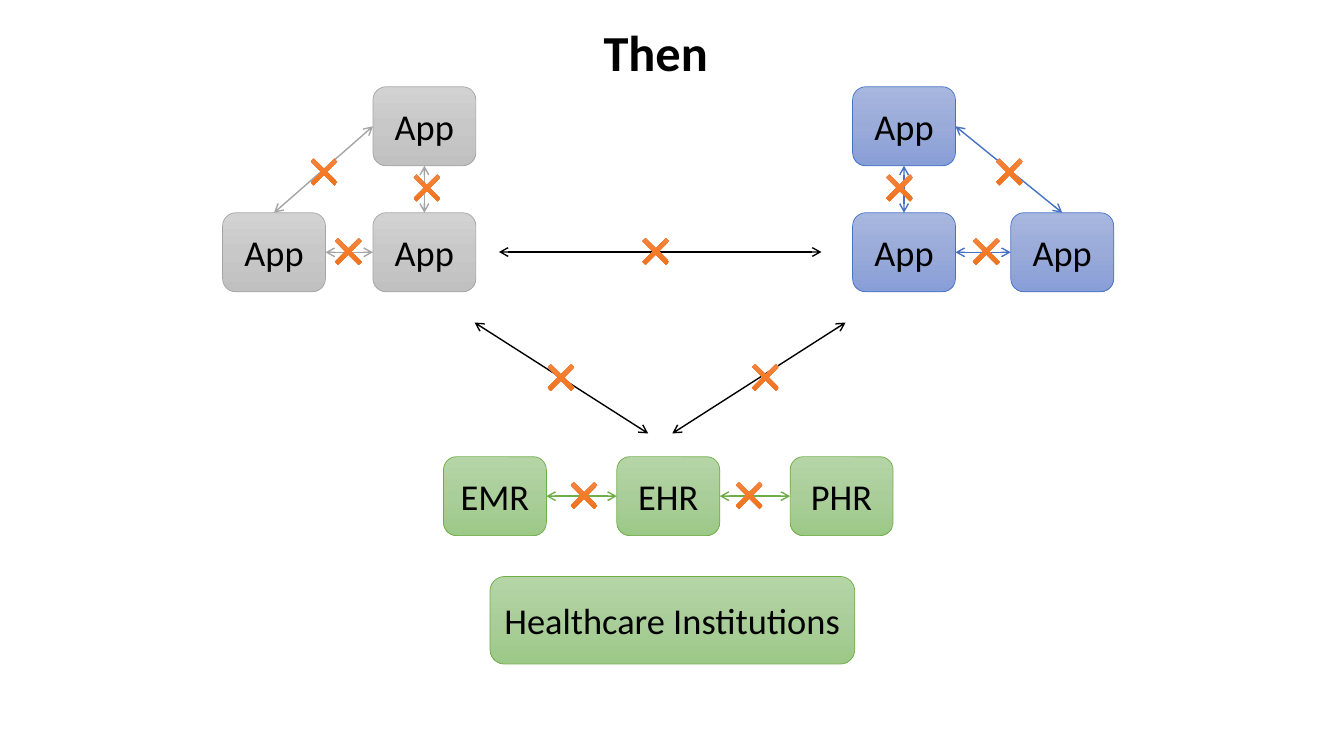
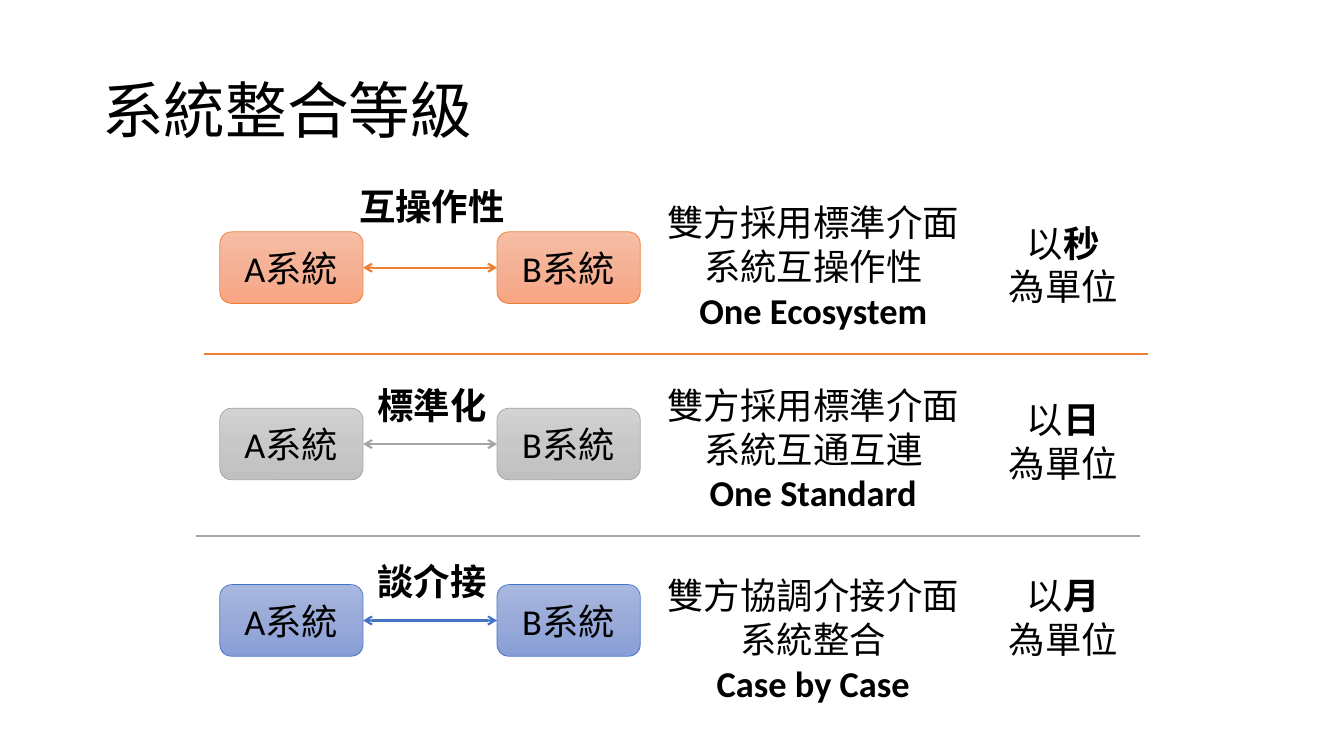
"""Build two slides on how healthcare systems connect."""
from copy import deepcopy

from lxml import etree
from pptx import Presentation
from pptx.dml.color import RGBColor
from pptx.enum.shapes import MSO_CONNECTOR, MSO_SHAPE
from pptx.enum.text import MSO_ANCHOR, PP_ALIGN
from pptx.oxml.ns import qn
from pptx.util import Pt

ROUND, TIMES = MSO_SHAPE.ROUNDED_RECTANGLE, MSO_SHAPE.MATH_MULTIPLY
STRAIGHT = MSO_CONNECTOR.STRAIGHT
LEFT, CENTER = PP_ALIGN.LEFT, PP_ALIGN.CENTER
TOP, MIDDLE = MSO_ANCHOR.TOP, MSO_ANCHOR.MIDDLE
UP, WEST, DOWN, EAST = range(4)

FONT = "Calibri"
INK = {"black": "000000", "green": "70AD47", "gray": "A5A5A5",
       "blue": "4472C4", "orange": "ED7D31"}
FADE = {
    "green": ("B5D5A7", "AACE9A", "9CC987"),
    "gray": ("D2D2D2", "C8C8C8", "C0C0C0"),
    "blue": ("A8B7DF", "9AABD9", "889ED7"),
    "orange": ("F7BDA5", "F5B196", "F8A582"),
    "cross": ("F18C57", "F67B28", "E56C19"),
}

NODE_W, NODE_H, CROSS = 73.5, 56.4, 32.4
NODES = {
    "emr": ("EMR", "green", 316.8, 326.2),
    "ehr": ("EHR", "green", 440.6, 326.2),
    "phr": ("PHR", "green", 564.4, 326.2),
    "gray out": ("App", "gray", 159, 152),
    "gray top": ("App", "gray", 266.4, 62),
    "gray low": ("App", "gray", 266.4, 152),
    "blue top": ("App", "blue", 609, 62),
    "blue low": ("App", "blue", 609, 152),
    "blue out": ("App", "blue", 722, 152),
}
LINKS = [
    ("gray top", DOWN, "gray low", UP),
    ("gray low", WEST, "gray out", EAST),
    ("gray top", WEST, "gray out", UP),
    ("blue top", DOWN, "blue low", UP),
    ("blue out", WEST, "blue low", EAST),
    ("blue top", EAST, "blue out", UP),
    ("emr", EAST, "ehr", WEST),
    ("ehr", EAST, "phr", WEST),
]
SPANS = [(356.4, 180, 586.8, 180), (339, 230.4, 463, 309.6),
         (480.2, 309.6, 604, 230.4)]
CROSSES = [
    (288.7, 118), (215.3, 106.6), (232.6, 163.4),
    (626.4, 118), (704.9, 106.6), (688.3, 163.4),
    (401, 337.7), (519, 337.7),
    (452.2, 163.4), (384.5, 253.4), (530.6, 253.4),
]

ROW_TOP, ROW_STEP = 165.6, 126
SYS_W, SYS_H = 102.4, 51.2
SYSTEMS = [("A系統", 157), ("B系統", 355)]
LEVELS = [
    dict(hue="orange", name="互操作性", rise=37.4, top=139.7, unit="秒",
         note=("雙方採用標準介面", "系統互操作性", "One Ecosystem")),
    dict(hue="gray", name="標準化", rise=21.6, top=270, unit="日",
         note=("雙方採用標準介面", "系統互通互連", "One Standard")),
    dict(hue="blue", name="談介接", rise=21.6, top=406, unit="月",
         note=("雙方協調介接介面", "系統整合", "Case by Case")),
]
RULES = [("orange", 145.4, 252.7), ("gray", 139.7, 383)]
RULE_W = 674.6


def color(code):
    return RGBColor.from_string(code)


def write(frame, lines, size=26, bold=False, align=CENTER, anchor=TOP,
          wrap=False, space=None):
    """Fill a frame; each line is a string or a list of (text, bold) runs."""
    frame.word_wrap, frame.vertical_anchor = wrap, anchor
    for i, line in enumerate(lines):
        para = frame.add_paragraph() if i else frame.paragraphs[0]
        para.alignment = align
        if space:
            para.line_spacing = space
        for words, heavy in [(line, bold)] if isinstance(line, str) else line:
            run = para.add_run()
            run.text = words
            run.font.name, run.font.size = FONT, Pt(size)
            run.font.bold = heavy
            run.font.color.rgb = color(INK["black"])


def label(slide, lines, x, y, w, h, **style):
    box = slide.shapes.add_textbox(Pt(x), Pt(y), Pt(w), Pt(h))
    write(box.text_frame, lines, **style)


def shade(slide, kind, x, y, w, h, fade, edge, width):
    """Add a shape with a three-stop fill running downwards."""
    shape = slide.shapes.add_shape(kind, Pt(x), Pt(y), Pt(w), Pt(h))
    shape.shadow.inherit = False
    shape.fill.gradient()
    shape.fill.gradient_angle = 270
    stops = next(shape.element.iter(qn("a:gsLst")))
    stops.insert(1, deepcopy(stops[0]))
    for i, stop in enumerate(shape.fill.gradient_stops):
        stop.position = i / 2
        stop.color.rgb = color(FADE[fade][i])
    shape.line.color.rgb = color(INK[edge])
    shape.line.width = Pt(width)
    return shape


def node(slide, words, hue, x, y, w, h):
    shape = shade(slide, ROUND, x, y, w, h, hue, hue, 0.5)
    write(shape.text_frame, [words], anchor=MIDDLE, wrap=True)
    return shape


def line(slide, hue, width, ends=(0, 0, 0, 0), arrows=True):
    link = slide.shapes.add_connector(STRAIGHT, *map(Pt, ends))
    link.line.color.rgb = color(INK[hue])
    link.line.width = Pt(width)
    if arrows:
        stroke = link.line._get_or_add_ln()
        for tag in ("a:headEnd", "a:tailEnd"):
            etree.SubElement(stroke, qn(tag)).set("type", "arrow")
    etree.SubElement(link.element.spPr, qn("a:effectLst"))
    return link


def join(slide, hue, width, start, exit, end, entry):
    link = line(slide, hue, width)
    link.begin_connect(start, exit)
    link.end_connect(end, entry)


def then(slide):
    label(slide, ["Then"], 424, 11.5, 90, 51, size=36, bold=True, align=LEFT)
    boxes = {key: node(slide, *spec, NODE_W, NODE_H)
             for key, spec in NODES.items()}
    for start, exit, end, entry in LINKS:
        join(slide, NODES[start][1], 1, boxes[start], exit, boxes[end], entry)
    for ends in SPANS:
        line(slide, "black", 1, ends)
    for x, y in CROSSES:
        mark = shade(slide, TIMES, x, y, CROSS, CROSS, "cross", "orange", 0.1)
        mark.adjustments[0] = 0.092
    node(slide, "Healthcare Institutions", "green", 350, 411.8, 260.6, 62.6)


def levels(slide):
    label(slide, ["系統整合等級"], 66, 28.8, 828, 104.4, size=44,
          align=LEFT, anchor=MIDDLE, wrap=True, space=0.9)
    for hue, x, y in RULES:
        line(slide, hue, 1.5, (x, y, x + RULE_W, y), arrows=False)
    for i, row in enumerate(LEVELS):
        y, hue = ROW_TOP + i * ROW_STEP, row["hue"]
        first, last = [node(slide, words, hue, x, y, SYS_W, SYS_H)
                       for words, x in SYSTEMS]
        join(slide, hue, 1.5, first, EAST, last, WEST)
        label(slide, [row["name"]], 248.8, y - row["rise"], 119.5, 38.9,
              bold=True)
        *plain, motto = row["note"]
        label(slide, [*plain, [(motto, True)]], 468.7, row["top"],
              224.6, 101.5)
        label(slide, [[("以", False), (row["unit"], True)], "為單位"],
              712.8, y - 11.5, 93.6, 70.6)


def main():
    deck = Presentation()
    deck.slide_width, deck.slide_height = Pt(960), Pt(540)
    for draw in (then, levels):
        draw(deck.slides.add_slide(deck.slide_layouts[6]))
    deck.save("out.pptx")


if __name__ == "__main__":
    main()
